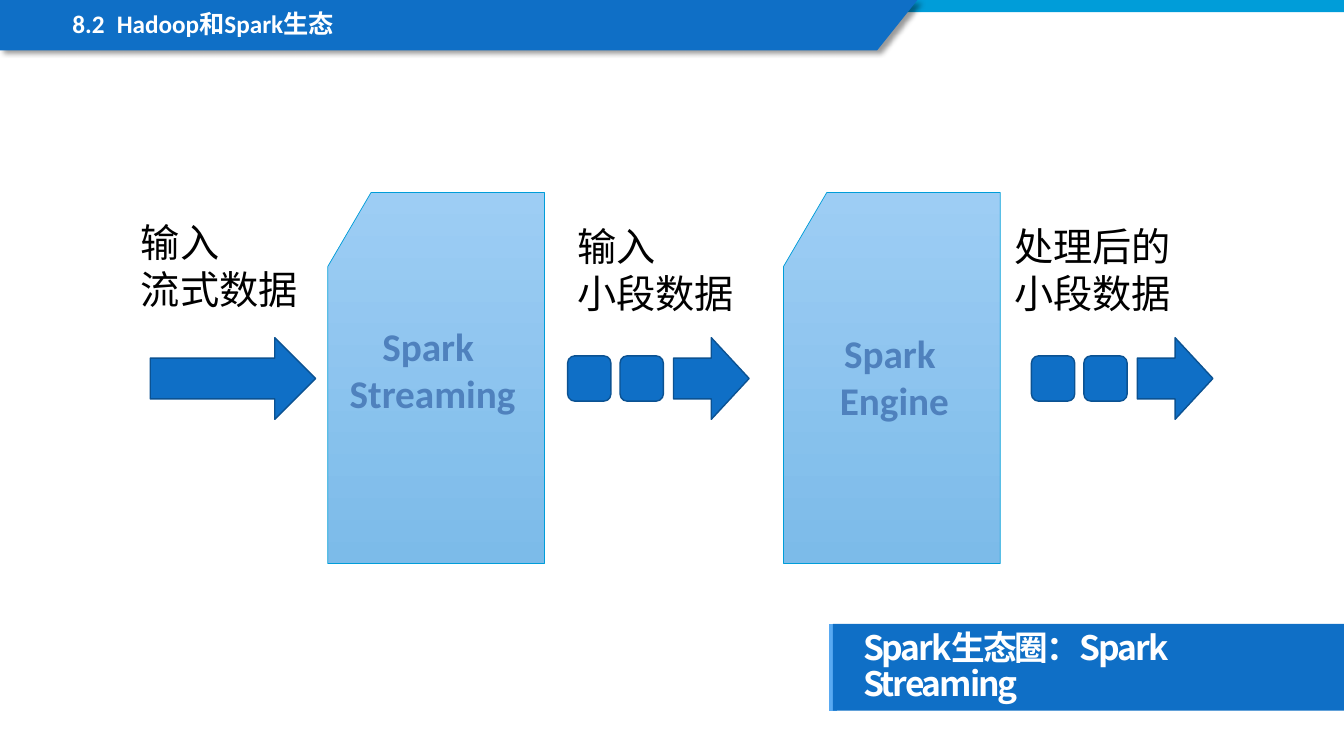
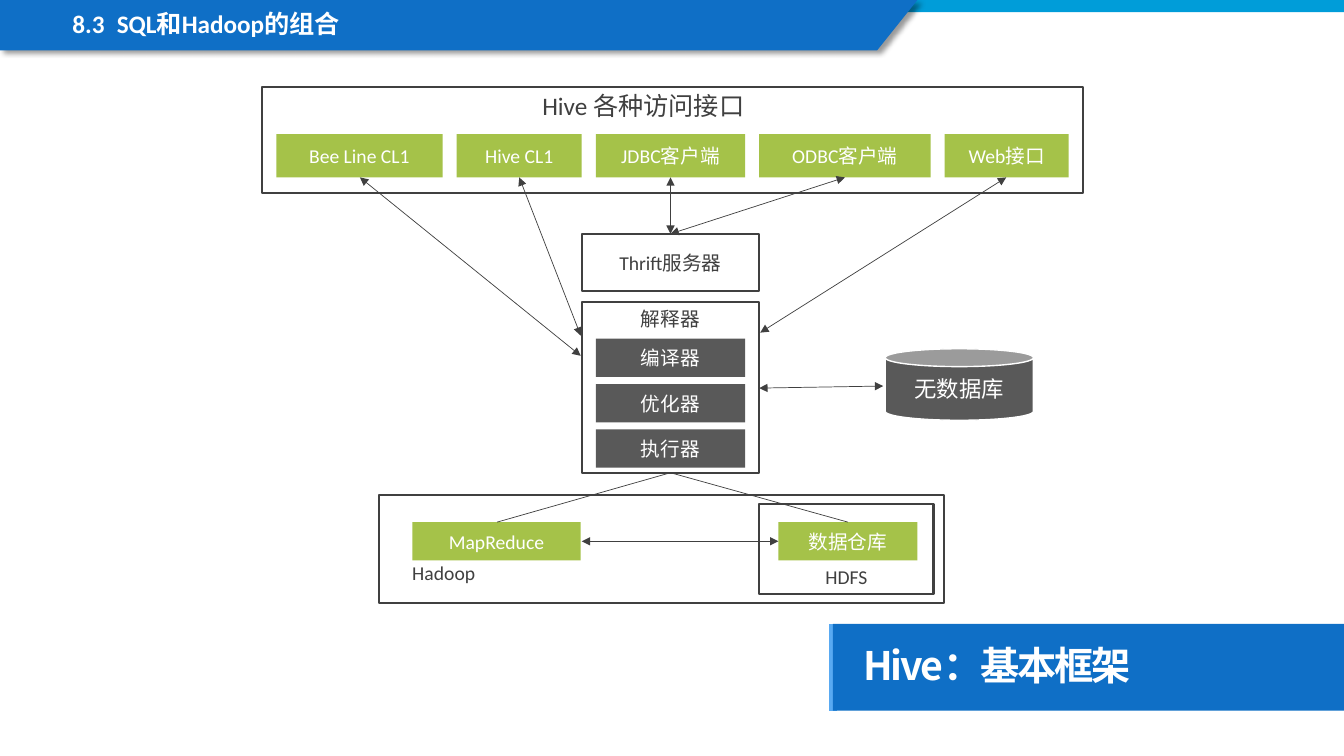
"""Build two slides on the Spark Streaming flow and the Hive framework."""
from dataclasses import dataclass
from itertools import accumulate
from typing import Optional

from lxml.etree import SubElement as Sub
from pptx import Presentation
from pptx.dml.color import RGBColor as Rgb
from pptx.enum.shapes import MSO_CONNECTOR as Wire, MSO_SHAPE as Kind
from pptx.enum.text import MSO_ANCHOR as Anchor, MSO_AUTO_SIZE as Fit, PP_ALIGN as Align
from pptx.oxml.ns import qn
from pptx.slide import Slide, SlideLayout as Layout
from pptx.util import Inches, Pt

HUES = {
    "blue": "0F6FC6", "cyan": "009DD9", "navy": "0B5292", "sky": "59AAF2",
    "pale": "9DCDF4", "mist": "7CBBE9", "steel": "4F81BD", "green": "A5C249",
    "grey": "595959", "ink": "404040", "white": "FFFFFF", "black": "000000",
}
CELL = 0.1
COLS, ROWS = 133.3, 75
LATIN, HAN = "Calibri", "Noto Sans CJK SC"
BAR = (82.6, 61.9, 50.7, 8.6)


@dataclass(frozen=True)
class Type:
    size: float
    hue: str
    bold: bool = False
    align: Align = Align.CENTER
    face: str = LATIN
    lead: Optional[float] = None
    track: int = 0
    stop: float = 0


@dataclass(frozen=True)
class Box:
    col: float
    row: float
    wide: float
    high: float
    text: str = ""
    type: Optional[Type] = None
    fill: Optional[str] = None
    edge: Optional[str] = None
    rule: float = 1
    kind: Kind = Kind.RECTANGLE
    anchor: Anchor = Anchor.MIDDLE


@dataclass(frozen=True)
class Link:
    col: float
    row: float
    end: float
    base: float
    heads: bool = True
    hue: str = "ink"
    rule: float = 0.5


HEAD = Type(18, "white", True, Align.LEFT, lead=0.9, stop=4.4)
NOTE = Type(28, "black", align=Align.LEFT)
CARD = Type(28, "steel", True)
LIGHT = Type(14, "white")
DARK = Type(14, "ink")


def grid(cells: float) -> int:
    """Turn grid cells into a length."""
    return Inches(cells * CELL)


def tint(name: str) -> Rgb:
    """Look up a named colour."""
    return Rgb.from_string(HUES[name])


def write(frame, text: str, look: Type) -> None:
    """Fill a text frame, one paragraph a line."""
    frame.text = text
    for par in frame.paragraphs:
        par.alignment = look.align
        if look.lead:
            par.line_spacing = look.lead
        if look.stop:
            tabs = Sub(par._p.get_or_add_pPr(), qn("a:tabLst"))
            Sub(tabs, qn("a:tab"), pos=str(grid(look.stop)), algn="l")
        font = par.font
        font.size, font.bold, font.name = Pt(look.size), look.bold, look.face
        font.color.rgb = tint(look.hue)
        props = par._p.pPr.find(qn("a:defRPr"))
        Sub(props, qn("a:ea"), typeface=HAN)
        if look.track:
            props.set("spc", str(look.track))


def draw(slide: Slide, box: Box):
    """Draw a shape, with its text if it has any."""
    shape = slide.shapes.add_shape(
        box.kind, *map(grid, (box.col, box.row, box.wide, box.high)))
    shape.shadow.inherit = False
    if box.fill:
        shape.fill.solid()
        shape.fill.fore_color.rgb = tint(box.fill)
    else:
        shape.fill.background()
    if box.edge:
        shape.line.color.rgb = tint(box.edge)
        shape.line.width = Pt(box.rule)
    else:
        shape.line.fill.background()
    if box.text:
        shape.text_frame.vertical_anchor = box.anchor
        write(shape.text_frame, box.text, box.type)
    return shape


def label(slide: Slide, col: float, row: float, wide: float, high: float,
          text: str, look: Type) -> None:
    """Place free text."""
    frame = slide.shapes.add_textbox(*map(grid, (col, row, wide, high))).text_frame
    frame.word_wrap = True
    write(frame, text, look)


def join(slide: Slide, link: Link) -> None:
    """Draw a line, with a head at each end if asked."""
    wire = slide.shapes.add_connector(
        Wire.STRAIGHT, *map(grid, (link.col, link.row, link.end, link.base)))
    wire.line.color.rgb = tint(link.hue)
    wire.line.width = Pt(link.rule)
    if link.heads:
        for tip in ("a:headEnd", "a:tailEnd"):
            Sub(wire.line._get_or_add_ln(), qn(tip), type="triangle")
    Sub(wire._element.spPr, qn("a:effectLst"))


def brand(slide: Slide, layout: Layout) -> None:
    """Draw the shared bands and move them to the layout."""
    for spare in list(layout.placeholders)[1:]:
        spare.element.getparent().remove(spare.element)
    col, row, _, high = BAR
    join(slide, Link(col, row + high, col, row, False, "sky", 6))
    draw(slide, Box(0, 0, COLS, 1.2, fill="cyan"))
    form = slide.shapes.build_freeform(0, 0, scale=Inches(CELL))
    form.add_line_segments([(91.1, 0), (87.3, 5), (0, 5)], close=True)
    band = form.convert_to_shape()
    band.shadow.inherit = False
    band.fill.solid()
    band.fill.fore_color.rgb = tint("blue")
    band.line.fill.background()
    glow = Sub(band._element.spPr.find(qn("a:effectLst")), qn("a:outerShdw"),
               blurRad=str(Pt(4)), dist=str(Pt(3)), dir="2700000", algn="tl")
    Sub(Sub(glow, qn("a:srgbClr"), val=HUES["black"]), qn("a:alpha"), val="40000")
    for shape in list(slide.shapes)[1:]:
        layout.shapes.element.append(shape.element)


def head(slide: Slide, part: str, title: str, size: float) -> None:
    """Set the part name on top and the title in the lower bar."""
    label(slide, 6.2, 0.7, 69.6, 3.8, part, HEAD)
    bar = slide.shapes.title
    bar.left, bar.top, bar.width, bar.height = map(grid, BAR)
    bar.fill.solid()
    bar.fill.fore_color.rgb = tint("blue")
    frame = bar.text_frame
    frame.auto_size, frame.word_wrap = Fit.NONE, True
    frame.vertical_anchor = Anchor.MIDDLE
    frame.margin_left = grid(3)
    frame.margin_top = frame.margin_right = frame.margin_bottom = grid(2)
    write(frame, title, Type(size, "white", True, Align.LEFT, HAN, 0.9, -150))


def stream(slide: Slide) -> None:
    """Draw the flow of data through Spark Streaming."""
    def arrow(col: float, wide: float) -> None:
        """Draw a block arrow on the flow line."""
        draw(slide, Box(col, 33.5, wide, 8.1, fill="blue", edge="navy",
                        kind=Kind.RIGHT_ARROW))

    arrow(14.9, 16.4)
    for col in (32.5, 77.7):
        card = draw(slide, Box(col, 19.1, 21.5, 36.8, fill="pale", edge="cyan",
                               rule=0.5, kind=Kind.FLOWCHART_CARD))
        card.fill.gradient()
        card.fill.gradient_angle = 270
        for stop, hue in zip(card.fill.gradient_stops, ("pale", "mist")):
            stop.color.rgb = tint(hue)
    for col in (56.3, 102.3):
        for step in range(2):
            draw(slide, Box(col + 5.2 * step, 35.3, 4.3, 4.5, fill="blue",
                            edge="navy", kind=Kind.ROUNDED_RECTANGLE))
        arrow(col + 10.5, 7.5)
    for col, row, text in ((13, 21.2, "输入\n流式数据"),
                           (56.3, 21.6, "输入\n小段数据"),
                           (99.6, 21.6, "处理后的\n小段数据")):
        label(slide, col, row, 19.4, 11.9, text, NOTE)
    label(slide, 32.7, 31.5, 20.4, 11.9, "Spark \nStreaming", CARD)
    label(slide, 81.6, 32.2, 14.2, 11.9, "Spark \nEngine", CARD)


def hive(slide: Slide) -> None:
    """Draw the layers of the Hive framework."""
    for spot in ((26, 8.6, 81.4, 10.6), (37.6, 49.1, 56, 10.7)):
        draw(slide, Box(*spot, edge="ink", rule=1.5))
    for spot, text, anchor in (
            ((57.7, 23.2, 17.6, 5.7), "Thrift服务器", Anchor.MIDDLE),
            ((57.7, 30, 17.6, 16.9), "解释器", Anchor.TOP),
            ((75.3, 50, 17.3, 8.9), "HDFS", Anchor.BOTTOM)):
        draw(slide, Box(*spot, text, DARK, edge="ink", rule=1.5, anchor=anchor))
    names = ("Bee Line CL1", "Hive CL1", "JDBC客户端", "ODBC客户端", "Web接口")
    widths = (16.5, 12.4, 14.8, 17, 12.3)
    starts = accumulate((wide + 1.4 for wide in widths), initial=27.4)
    for col, wide, name in zip(starts, widths, names):
        draw(slide, Box(col, 13.3, wide, 4.3, name, LIGHT, "green"))
    for step, name in enumerate(("编译器", "优化器", "执行器")):
        draw(slide, Box(59.1, 33.6 + 4.5 * step, 14.8, 3.8, name, LIGHT, "grey"))
    for col, wide, name in ((40.9, 16.7, "MapReduce"), (77.2, 13.8, "数据仓库")):
        draw(slide, Box(col, 51.8, wide, 3.8, name, LIGHT, "green"))
    draw(slide, Box(87.8, 34.6, 14.7, 7.1, "无数据库", Type(16, "white"), "grey",
                    "white", kind=Kind.CAN))
    label(slide, 52.8, 8.5, 26.2, 4.7, "Hive 各种访问接口",
          Type(18, "ink", align=Align.LEFT))
    label(slide, 39.9, 55.2, 9.8, 3.9, "Hadoop", Type(14, "ink", align=Align.LEFT))
    for link in (
            Link(66.5, 23.2, 66.5, 17.6), Link(66.5, 23.2, 83.8, 17.6),
            Link(57.6, 33.3, 51.5, 17.6), Link(57.6, 35.3, 35.7, 17.6),
            Link(75.4, 33, 99.8, 17.6), Link(75.3, 38.5, 87.6, 38.3),
            Link(49.3, 51.8, 66.5, 46.9, False),
            Link(84.1, 51.8, 66.5, 46.9, False),
            Link(77.2, 53.7, 57.7, 53.7)):
        join(slide, link)


def main() -> None:
    """Build and save the deck."""
    deck = Presentation()
    deck.slide_width, deck.slide_height = grid(COLS), grid(ROWS)
    layout = deck.slide_layouts[5]
    first, second = (deck.slides.add_slide(layout) for _ in range(2))
    brand(first, layout)
    head(first, "8.2\tHadoop和Spark生态", "Spark生态圈：Spark Streaming", 24)
    stream(first)
    head(second, "8.3\tSQL和Hadoop的组合", "Hive：基本框架", 28)
    hive(second)
    deck.save("out.pptx")


if __name__ == "__main__":
    main()
